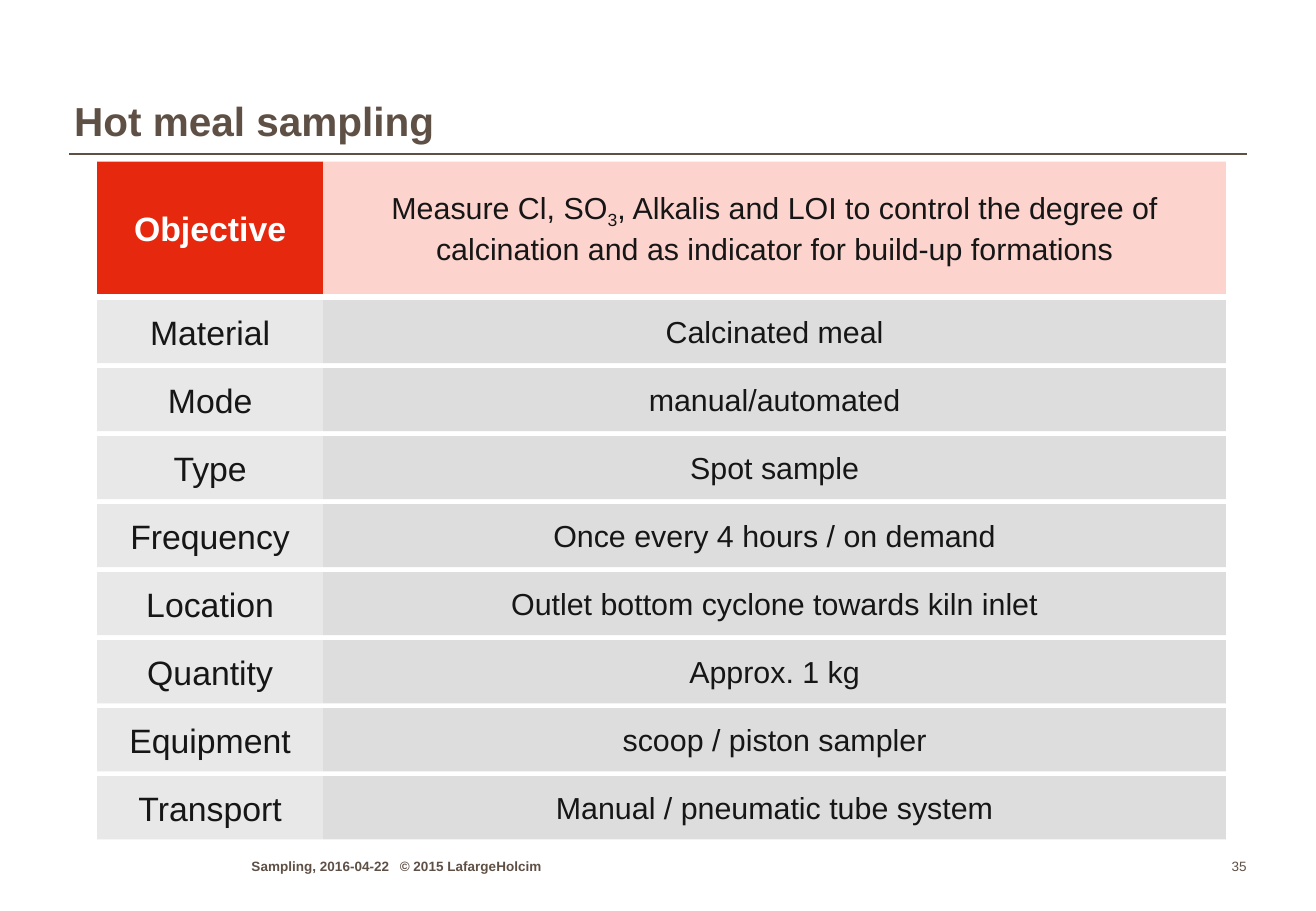
from lxml import etree
from pptx import Presentation
from pptx.dml.color import RGBColor
from pptx.enum.shapes import MSO_CONNECTOR as Conn, MSO_SHAPE as Shape
from pptx.enum.text import MSO_ANCHOR as Anchor, MSO_AUTO_SIZE as Auto, PP_ALIGN as Align
from pptx.oxml.ns import qn
from pptx.util import Inches, Pt

BROWN, INK, WHITE = "5F5046", "161616", "FFFFFF"
RED, PINK, LIGHT, GREY = "E6280F", "FCD3CD", "E8E8E8", "DDDDDD"


def color(code):
    return RGBColor.from_string(code)


class Deck:
    font = "Arial"

    def __init__(self, wide, high):
        self.prs = Presentation()
        self.prs.slide_width, self.prs.slide_height = Inches(wide), Inches(high)
        self.slide = self.prs.slides.add_slide(self.prs.slide_layouts[5])

    def style(self, para, size, tone, bold=False, align=Align.LEFT):
        para.alignment = align
        for run in para.runs:
            run.font.name, run.font.size = self.font, Pt(size)
            run.font.bold, run.font.color.rgb = bold, color(tone)

    def place(self, shape, *box):
        shape.left, shape.top, shape.width, shape.height = map(Inches, box)

    def plain(self, frame, text):
        frame.text = text
        frame.auto_size = Auto.NONE
        frame.word_wrap = True
        frame.vertical_anchor = Anchor.BOTTOM
        frame.margin_left = frame.margin_right = 0
        frame.margin_top = frame.margin_bottom = 0
        return frame.paragraphs[0]

    def title(self, text, *box):
        head = self.slide.shapes.title
        self.place(head, *box)
        para = self.plain(head.text_frame, text)
        para.line_spacing = 0.95
        self.style(para, 24, BROWN, True)

    def rule(self, left, right, y):
        line = self.slide.shapes.add_connector(
            Conn.STRAIGHT, Inches(left), Inches(y), Inches(right), Inches(y))
        line.line.color.rgb, line.line.width = color(BROWN), Pt(1)
        etree.SubElement(line._element.spPr, qn("a:effectLst"))

    def cell(self, parts, box, fill, size, tone=INK, bold=False):
        rect = self.slide.shapes.add_shape(Shape.RECTANGLE, *map(Inches, box))
        rect.shadow.inherit = False
        rect.fill.solid()
        rect.fill.fore_color.rgb = color(fill)
        rect.line.fill.background()
        frame = rect.text_frame
        frame.word_wrap, frame.vertical_anchor = True, Anchor.MIDDLE
        para = frame.paragraphs[0]
        for part in parts:
            para.add_run().text = part
        self.style(para, size, tone, bold, Align.CENTER)
        return para

    def note(self, text, box, bold=False, align=Align.LEFT, tab=None):
        area = self.slide.shapes.add_textbox(*map(Inches, box))
        para = self.plain(area.text_frame, text)
        if tab:
            stops = etree.SubElement(para._p.get_or_add_pPr(), qn("a:tabLst"))
            etree.SubElement(stops, qn("a:tab"), pos=str(Inches(tab)), algn="l")
        self.style(para, 8, BROWN, bold, align)


def main():
    deck = Deck(10.83, 7.5)

    # Heading
    deck.rule(0.57, 10.26, 1.27)
    deck.title("Hot meal sampling", 0.61, 0.33, 9.6, 0.87)

    # Objective row
    left, mid, name_w, text_w = 0.8, 2.66, 1.86, 7.43
    deck.cell(["Objective"], (left, 1.33, name_w, 1.09), RED, 20, WHITE, True)
    goal = deck.cell(
        ["Measure Cl, SO", "3", ", Alkalis and LOI to control the degree of "
         "calcination and as indicator for build-up formations"],
        (mid, 1.33, text_w, 1.09), PINK, 18)
    goal.runs[1].font._element.set("baseline", "-25000")

    # Detail rows
    rows = [
        ("Material", "Calcinated meal"),
        ("Mode", "manual/automated"),
        ("Type", "Spot sample"),
        ("Frequency", "Once every 4 hours / on demand"),
        ("Location", "Outlet bottom cyclone towards kiln inlet"),
        ("Quantity", "Approx. 1 kg"),
        ("Equipment", "scoop / piston sampler"),
        ("Transport", "Manual / pneumatic tube system"),
    ]
    for i, (name, text) in enumerate(rows):
        top = 2.47 + 0.56 * i
        deck.cell([name], (left, top, name_w, 0.52), LIGHT, 20)
        deck.cell([text], (mid, top, text_w, 0.52), GREY, 18)

    # Footer
    deck.note("Sampling, 2016-04-22\t© 2015 LafargeHolcim",
              (2.07, 7.02, 3.47, 0.18), bold=True, tab=1.22)
    deck.note("35", (9.79, 7.02, 0.47, 0.18), align=Align.RIGHT)

    deck.prs.save("out.pptx")


if __name__ == "__main__":
    main()
